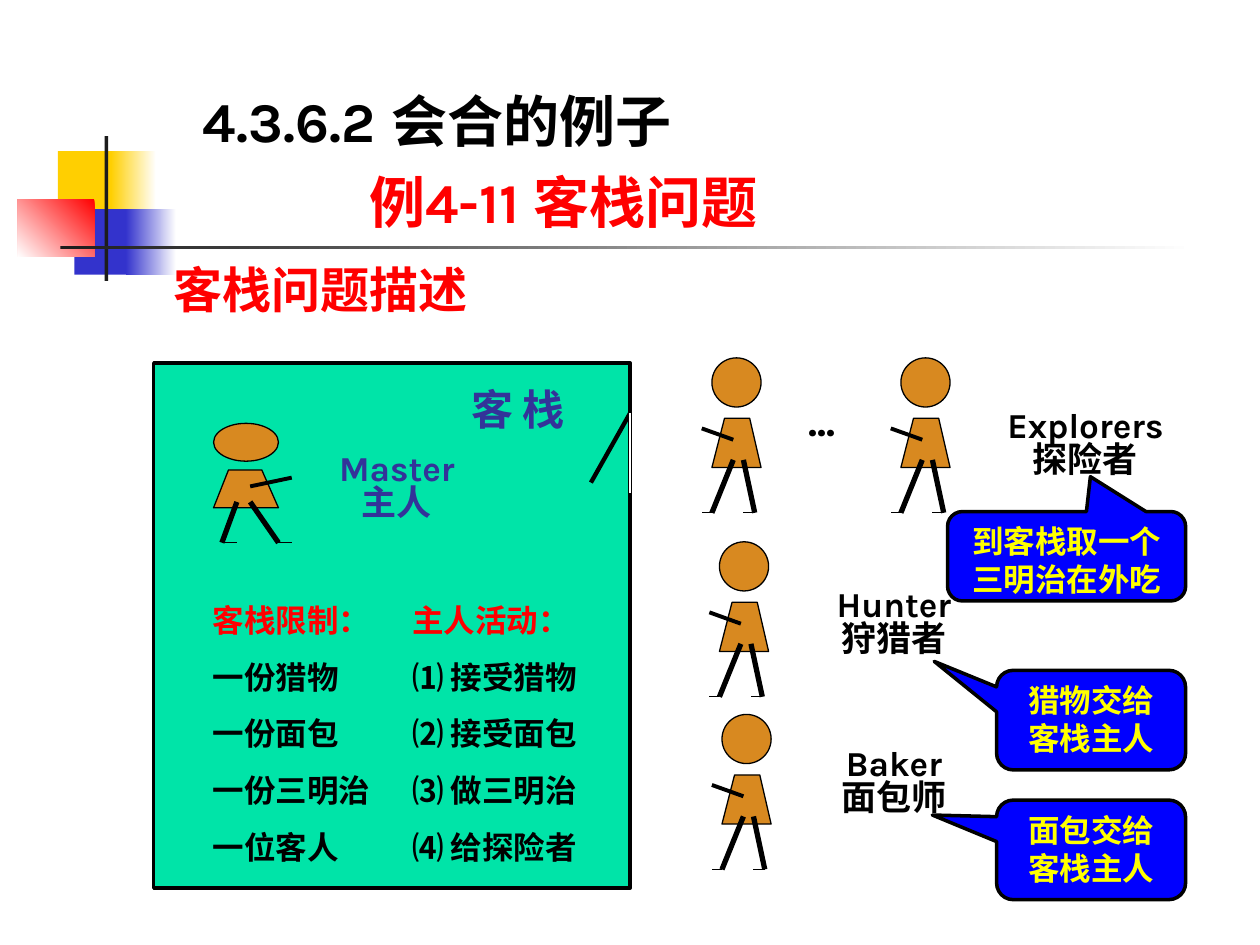
from lxml import etree
from pptx import Presentation
from pptx.dml.color import RGBColor
from pptx.enum.shapes import MSO_CONNECTOR, MSO_SHAPE
from pptx.enum.text import MSO_ANCHOR, MSO_AUTO_SIZE, PP_ALIGN
from pptx.oxml.ns import qn
from pptx.util import Inches, Pt

RECT, OVAL = MSO_SHAPE.RECTANGLE, MSO_SHAPE.OVAL
CALLOUT = MSO_SHAPE.ROUNDED_RECTANGULAR_CALLOUT
LINE = MSO_CONNECTOR.STRAIGHT
TOP, BOTTOM = MSO_ANCHOR.TOP, MSO_ANCHOR.BOTTOM
GROW, FIXED = MSO_AUTO_SIZE.SHAPE_TO_FIT_TEXT, MSO_AUTO_SIZE.NONE
LEFT, CENTER = PP_ALIGN.LEFT, PP_ALIGN.CENTER

LATIN, HAN = "Karla", "Noto Sans CJK SC"
BLACK, WHITE, RED, NAVY = "000000", "FFFFFF", "FF0000", "333399"
GOLD, BLUE, SKIN, DARK = "FFCF01", "3333CC", "D88920", "1C1C1C"

STROKES = [
    (0.25, 0.81, 0.34, 1.23, 3),
    (0.17, 0.81, 0, 1.23, 3),
    (0.34, 1.23, 0.25, 1.23, 0.75),
    (0, 1.23, -0.08, 1.23, 0.75),
    (0.17, 0.65, -0.08, 0.56, 2.25),
]


def color(code):
    return RGBColor.from_string(code)


def assign(target, values):
    for name, value in values.items():
        setattr(target, name, value)


def place(shape, box):
    names = ("left", "top", "width", "height")
    assign(shape, dict(zip(names, map(Inches, box))))


def paint(shape, fill, width=None):
    shape.shadow.inherit = False
    shape.fill.solid()
    shape.fill.fore_color.rgb = color(fill)
    if width:
        shape.line.color.rgb = color(BLACK)
        shape.line.width = Pt(width)
    else:
        shape.line.fill.background()


def add_shape(slide, kind, box, fill, width=None):
    shape = slide.shapes.add_shape(kind, *map(Inches, box))
    paint(shape, fill, width)
    return shape


def add_fade(slide, box, start, end=WHITE, angle=0):
    fill = add_shape(slide, RECT, box, start).fill
    fill.gradient()
    fill.gradient_angle = angle
    for stop, code in zip(fill.gradient_stops, (start, end)):
        stop.color.rgb = color(code)


def add_line(slide, ends, width, code=BLACK):
    line = slide.shapes.add_connector(LINE, *map(Inches, ends))
    line.line.color.rgb = color(code)
    line.line.width = Pt(width)
    etree.SubElement(line.element.spPr, qn("a:effectLst"))


def indent(para, left=0, tab=None):
    props = para._p.get_or_add_pPr()
    props.set("marL", str(Inches(left)))
    props.set("indent", "0")
    etree.SubElement(props, qn("a:buNone"))
    if tab:
        tabs = etree.SubElement(props, qn("a:tabLst"))
        etree.SubElement(tabs, qn("a:tab"), pos=str(Inches(tab)), algn="l")


def write(shape, rows, size, align=LEFT, space=1.0, anchor=TOP,
          auto=GROW, pad=(0, 0), face=LATIN):
    frame = shape.text_frame
    side, edge = map(Inches, pad)
    assign(frame, dict(word_wrap=True, auto_size=auto, vertical_anchor=anchor,
                       margin_left=side, margin_right=side,
                       margin_top=edge, margin_bottom=edge))
    for i, (text, code, *shift) in enumerate(rows):
        para = frame.add_paragraph() if i else frame.paragraphs[0]
        indent(para, *shift)
        assign(para, dict(alignment=align, line_spacing=space,
                          space_before=Pt(0), space_after=Pt(0)))
        run = para.add_run()
        run.text = text
        assign(run.font, dict(name=face, size=Pt(size), bold=True))
        run.font.color.rgb = color(code)
        etree.SubElement(run.font._element, qn("a:ea"), typeface=HAN)


def add_text(slide, box, rows, size, **style):
    write(slide.shapes.add_textbox(*map(Inches, box)), rows, size, **style)


def fill_holder(shape, box, rows, size, **style):
    place(shape, box)
    write(shape, rows, size, **style)
    shape.element.getparent().append(shape.element)


def add_person(slide, x, y, wide=1, tall=1):
    def spot(dx, dy):
        return x + dx * wide, y + dy * tall

    trunk = [tuple(map(Inches, spot(*point))) for point in
             ((0.39, 0.87), (0, 0.87), (0.1, 0.48), (0.3, 0.48))]
    path = slide.shapes.build_freeform(*trunk[0])
    path.add_line_segments(trunk[1:])
    paint(path.convert_to_shape(), SKIN, 0.75)
    width = 0.39 * abs(wide)
    left = min(x, x + 0.39 * wide)
    add_shape(slide, OVAL, (left, y, width, 0.39 * tall), SKIN, 0.75)
    for x1, y1, x2, y2, weight in STROKES:
        add_line(slide, spot(x1, y1) + spot(x2, y2), weight)


def add_callout(slide, box, tip, text):
    shape = add_shape(slide, CALLOUT, box, "0000FF", 2)
    for i, value in enumerate((*tip, 0.167)):
        shape.adjustments[i] = value
    write(shape, [(text, "FFFF00")], 18, align=CENTER,
          auto=FIXED, pad=(0.1, 0.05))


def add_mark(slide):
    add_shape(slide, RECT, (0.46, 1.2, 0.48, 0.52), GOLD)
    add_fade(slide, (0.88, 1.2, 0.36, 0.52), GOLD)
    add_shape(slide, RECT, (0.59, 1.66, 0.46, 0.52), BLUE)
    add_fade(slide, (1, 1.66, 0.4, 0.52), BLUE)
    add_fade(slide, (0.14, 1.58, 0.61, 0.46), RED, angle=225)
    add_shape(slide, RECT, (0.83, 1.08, 0.03, 1.15), DARK)
    add_fade(slide, (0.48, 1.95, 9, 0.03), DARK)


def add_inn(slide):
    add_shape(slide, RECT, (1.22, 2.88, 3.78, 4.17), "00E4A8", 2)
    add_line(slide, (5, 3.28, 4.69, 3.83), 2.5)
    add_person(slide, 2.21, 3.36, -1.32, 0.77)
    add_text(slide, (3.74, 3.04, 0.87, 0.4), [("客 栈", NAVY)], 24, face=HAN)
    add_text(slide, (2.64, 3.61, 1.02, 0.53), [("Master 主人", NAVY)], 20,
             align=CENTER, space=0.8)
    add_line(slide, (5, 3.28, 5, 3.91), 0.75, WHITE)


def add_guests(slide):
    for x, y in ((5.65, 2.84), (7.15, 2.84), (5.73, 5.67), (5.71, 4.3)):
        add_person(slide, x, y)
    add_text(slide, (6.42, 3.27, 0.41, 0.24), [("...", BLACK)], 24, space=0.6)
    for box, names in (
        ((7.74, 3.27, 1.75, 0.53), ("Explorers", "探险者")),
        ((6.5, 5.95, 1.19, 0.53), ("Baker", "面包师")),
        ((6.5, 4.69, 1.19, 0.53), ("Hunter", "狩猎者")),
    ):
        add_text(slide, box, [(name, BLACK) for name in names], 20,
                 align=CENTER, space=0.8)
    add_callout(slide, (7.52, 4.06, 1.89, 0.71), (0.1, -0.89),
                "到客栈取一个三明治在外吃")
    add_callout(slide, (7.91, 5.32, 1.5, 0.79), (-0.83, -0.59),
                "猎物交给客栈主人")
    add_callout(slide, (7.91, 6.35, 1.5, 0.79), (-0.84, -0.35),
                "面包交给客栈主人")


def main():
    deck = Presentation()
    assign(deck, dict(slide_width=Inches(10), slide_height=Inches(7.5)))
    slide = deck.slides.add_slide(deck.slide_layouts[3])
    title, limits, tasks = list(slide.placeholders)[:3]
    add_mark(slide)
    add_inn(slide)
    fill_holder(title, (1.61, 0.58, 6.46, 1.28),
                [("4.3.6.2\t会合的例子", BLACK, 0, 1.71),
                 ("例4-11 客栈问题", RED, 1.32)],
                32, space=1.2, anchor=BOTTOM)
    add_text(slide, (1.38, 2.06, 2.6, 0.47), [("客栈问题描述", RED)], 28, face=HAN)
    for holder, left, width, head, items in (
        (limits, 1.69, 1.34, "客栈限制：",
         ("一份猎物", "一份面包", "一份三明治", "一位客人")),
        (tasks, 3.27, 1.5, "主人活动：",
         ("⑴ 接受猎物", "⑵ 接受面包", "⑶ 做三明治", "⑷ 给探险者")),
    ):
        rows = [(head, RED)] + [(item, BLACK) for item in items]
        fill_holder(holder, (left, 4.62, width, 2.25), rows, 18, space=1.5)
    add_guests(slide)
    deck.save("out.pptx")


if __name__ == "__main__":
    main()
